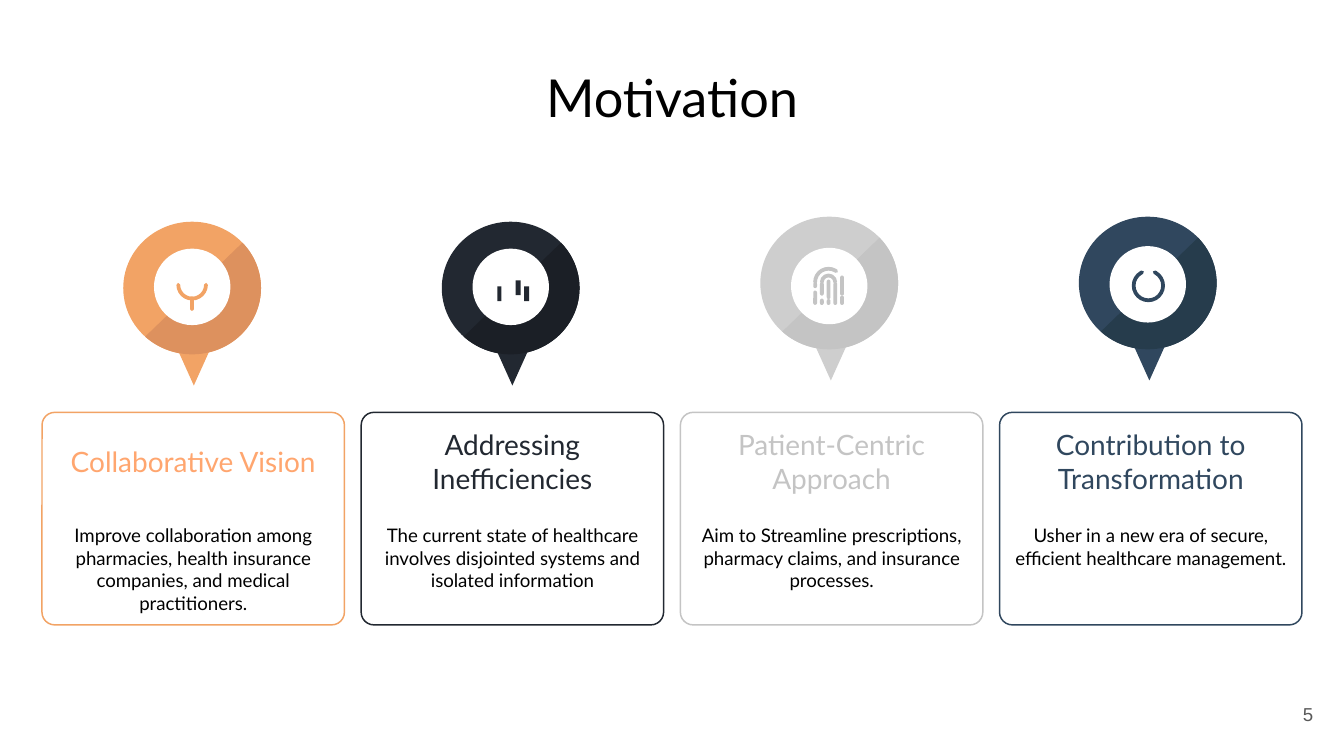
import pptx
import pptx.dml.color
import pptx.enum.shapes
import pptx.enum.text
import pptx.oxml.ns
import pptx.util

PRESET = pptx.enum.shapes.MSO_SHAPE
ALIGN = pptx.enum.text.PP_ALIGN
ANCHOR = pptx.enum.text.MSO_ANCHOR

COLUMNS, ROWS = 160, 90
MARGIN, CARD_WIDTH, CARD_PITCH = 5, 36, 38
CARD_TOP, HEADING_HEIGHT, BODY_HEIGHT = 49.1, 11.7, 13.6
PIN_START, PIN_PITCH = 22.88, 37.92
RING_WIDTH, RING_HEIGHT, HOLE = 16.4, 15.8, 9.1

# Icon strokes, in grid units from the top centre of the pin:
# arcs are (x, y, radius, start, end), bars are (left, top, width, height).
FUNNEL = {"arcs": [(0, 7.5, 1.65, 0, 180)], "rounded": [(-0.25, 8.9, 0.45, 1.7)]}
BARS = {"square": [(-1.6, 7.7, 0.5, 1.75), (0.6, 7, 0.6, 1.75), (1.6, 7.7, 0.6, 1.75)]}
RIDGES = [(-1.9, 7.8, 8.5), (-1.9, 8.8, 10.5), (-1.1, 7.8, 9.4), (-1.1, 9.75, 10.5),
          (-0.3, 7.5, 9.8), (-0.3, 9.8, 10.5), (0.5, 7.8, 10.5), (1.3, 7, 9.4),
          (1.3, 9.4, 10.5)]
FINGERPRINT = {
    "arcs": [(-0.08, 7.8, 1.6, 180, 305), (-0.08, 7.8, 0.8, 180, 359)],
    "rounded": [(left, top, 0.45, bottom - top) for left, top, bottom in RIDGES],
}
POWER = {"arcs": [(0.08, 8.2, 1.75, 295, 245)]}

MOTIVES = [
    {"heading": "Collaborative Vision", "heading_color": "FFA66F",
     "body": "Improve collaboration among pharmacies, health insurance companies, "
             "and medical practitioners.",
     "outline": "F2A365", "ring": "F2A365", "shade": "DD915E",
     "top": 26.4, "hole_drop": 3.2, "icon": FUNNEL},
    {"heading": "Addressing Inefficiencies", "heading_color": "222831",
     "body": "The current state of healthcare involves disjointed systems and "
             "isolated information",
     "outline": "222831", "ring": "222831", "shade": "1B1F26",
     "top": 26.4, "hole_drop": 3.2, "icon": BARS},
    {"heading": "Patient-Centric Approach", "heading_color": "C4C4C4",
     "body": "Aim to Streamline prescriptions, pharmacy claims, and insurance processes.",
     "outline": "C4C4C4", "ring": "CECECE", "shade": "C4C4C4",
     "top": 25.8, "hole_drop": 3.7, "icon": FINGERPRINT},
    {"heading": "Contribution to Transformation", "heading_color": "30475E",
     "body": "Usher in a new era of secure, efficient healthcare management.",
     "outline": "30475E", "ring": "30475E", "shade": "263C4C",
     "top": 25.8, "hole_drop": 3.5, "icon": POWER},
]


def rgb(value):
    return pptx.dml.color.RGBColor.from_string(value)


def apply(target, values):
    for name, value in values.items():
        setattr(target, name, value)


class Deck:
    """Holds the slide and draws on a grid of 160 columns by 90 rows."""

    font = "Lato"

    def __init__(self):
        self.presentation = pptx.Presentation()
        apply(self.presentation, {"slide_width": pptx.util.Inches(10),
                                  "slide_height": pptx.util.Inches(5.625)})
        self.slide = self.presentation.slides.add_slide(
            self.presentation.slide_layouts[6])

    def box(self, left, top, width, height):
        column = self.presentation.slide_width / COLUMNS
        row = self.presentation.slide_height / ROWS
        return [round(left * column), round(top * row),
                round(width * column), round(height * row)]

    def shape(self, preset, place, fill=None, line=None, weight=0.8, adjust=()):
        shape = self.slide.shapes.add_shape(preset, *self.box(*place))
        shape.shadow.inherit = False
        for index, value in enumerate(adjust):
            shape.adjustments[index] = value
        for paint, color in ((shape.fill, fill), (shape.line.fill, line)):
            if color:
                paint.solid()
                paint.fore_color.rgb = rgb(color)
            else:
                paint.background()
        if line:
            shape.line.width = pptx.util.Pt(weight)
        return shape

    def curve(self, preset, place, start, end, **style):
        """Draws a clockwise arc or chord between two angles in degrees."""
        # One adjustment unit is 100000 and one degree is 60000.
        return self.shape(preset, place, adjust=(start * 0.6, end * 0.6), **style)

    def text(self, words, place, size, color, align=ALIGN.CENTER,
             anchor=ANCHOR.MIDDLE, font=None):
        frame = self.slide.shapes.add_textbox(*self.box(*place)).text_frame
        inset = pptx.util.Inches(0.1)
        apply(frame, {"word_wrap": True, "vertical_anchor": anchor,
                      "margin_left": inset, "margin_right": inset,
                      "margin_top": inset, "margin_bottom": inset})
        paragraph = frame.paragraphs[0]
        paragraph.alignment = align
        run = paragraph.add_run()
        run.text = words
        apply(run.font, {"name": font or self.font, "size": pptx.util.Pt(size)})
        run.font.color.rgb = rgb(color)

    def icon(self, strokes, center, top, color):
        for x, y, radius, start, end in strokes.get("arcs", []):
            place = (center + x - radius, top + y - radius, 2 * radius, 2 * radius)
            arc = self.curve(PRESET.ARC, place, start, end, line=color, weight=2)
            arc.element.spPr.find(pptx.oxml.ns.qn("a:ln")).set("cap", "rnd")
        for kind, preset, adjust in (("rounded", PRESET.ROUNDED_RECTANGLE, (0.5,)),
                                     ("square", PRESET.RECTANGLE, ())):
            for x, y, width, height in strokes.get(kind, []):
                self.shape(preset, (center + x, top + y, width, height),
                           fill=color, adjust=adjust)

    def pin(self, motive, center):
        top = motive["top"]
        ring = (center - RING_WIDTH / 2, top, RING_WIDTH, RING_HEIGHT)
        self.shape(PRESET.FLOWCHART_MERGE, (center - 2.1, top + 14.4, 4.6, 5.1),
                   fill=motive["ring"])
        self.shape(PRESET.OVAL, ring, fill=motive["ring"])
        self.curve(PRESET.CHORD, ring, 318, 134, fill=motive["shade"])
        self.shape(PRESET.OVAL, (center - HOLE / 2, top + motive["hole_drop"], HOLE, HOLE),
                   fill="FFFFFF")
        self.icon(motive["icon"], center, top, motive["outline"])

    def card(self, motive, left):
        self.shape(PRESET.ROUNDED_RECTANGLE,
                   (left, CARD_TOP, CARD_WIDTH, HEADING_HEIGHT + BODY_HEIGHT),
                   line=motive["outline"], adjust=(0.06,))
        self.text(motive["heading"], (left, CARD_TOP, CARD_WIDTH, HEADING_HEIGHT),
                  15, motive["heading_color"])
        self.text(motive["body"],
                  (left, CARD_TOP + HEADING_HEIGHT, CARD_WIDTH, BODY_HEIGHT),
                  10, "000000", anchor=ANCHOR.TOP)


def main():
    deck = Deck()
    deck.text("Motivation", (12.4, 7.2, 135.2, 8.5), 28, "000000")
    for index, motive in enumerate(MOTIVES):
        deck.card(motive, MARGIN + index * CARD_PITCH)
        deck.pin(motive, PIN_START + index * PIN_PITCH)
    deck.text("5", (148.3, 81.6, 9.6, 6.9), 10, "595959",
              align=ALIGN.RIGHT, font="Arial")
    deck.presentation.save("out.pptx")


if __name__ == "__main__":
    main()
